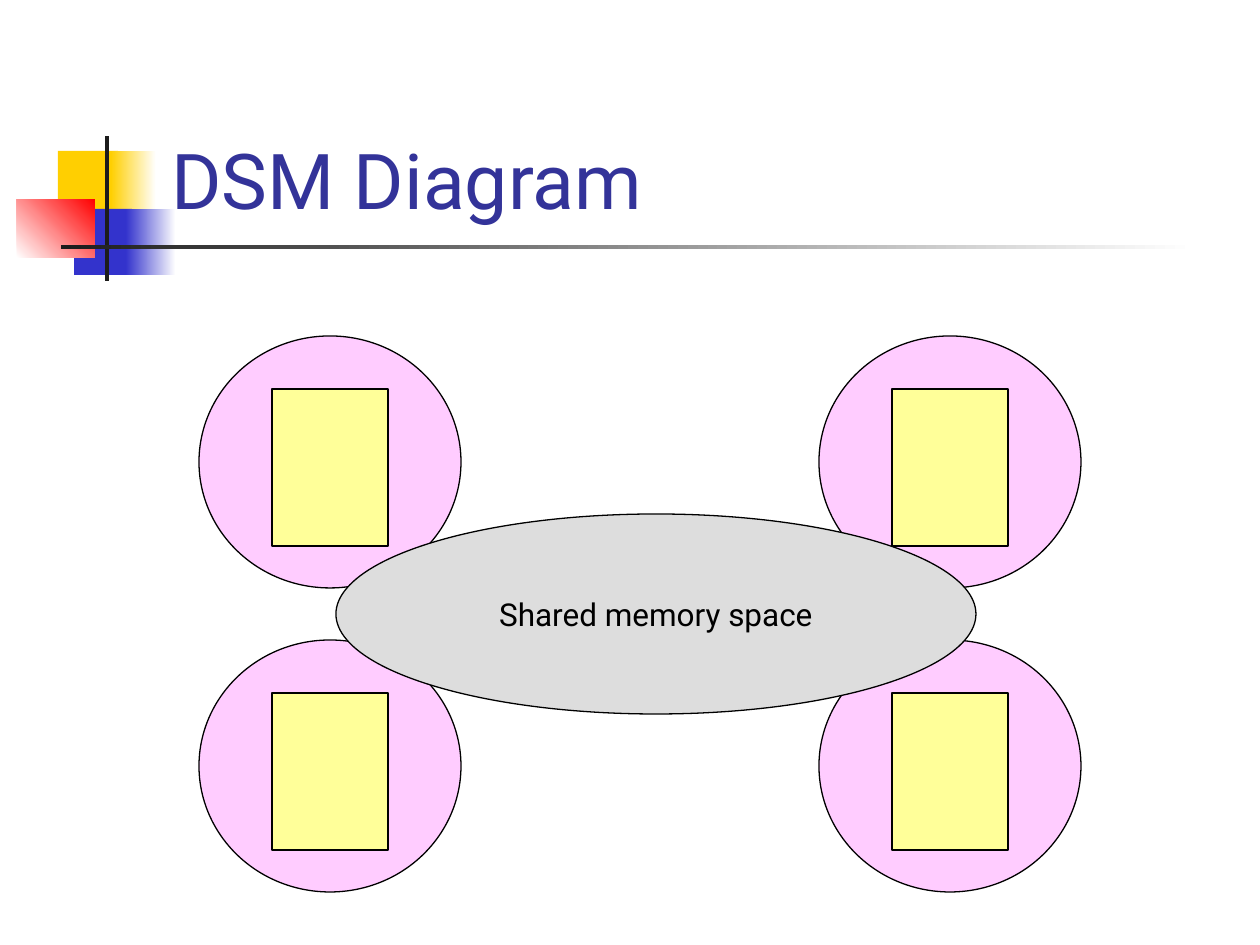
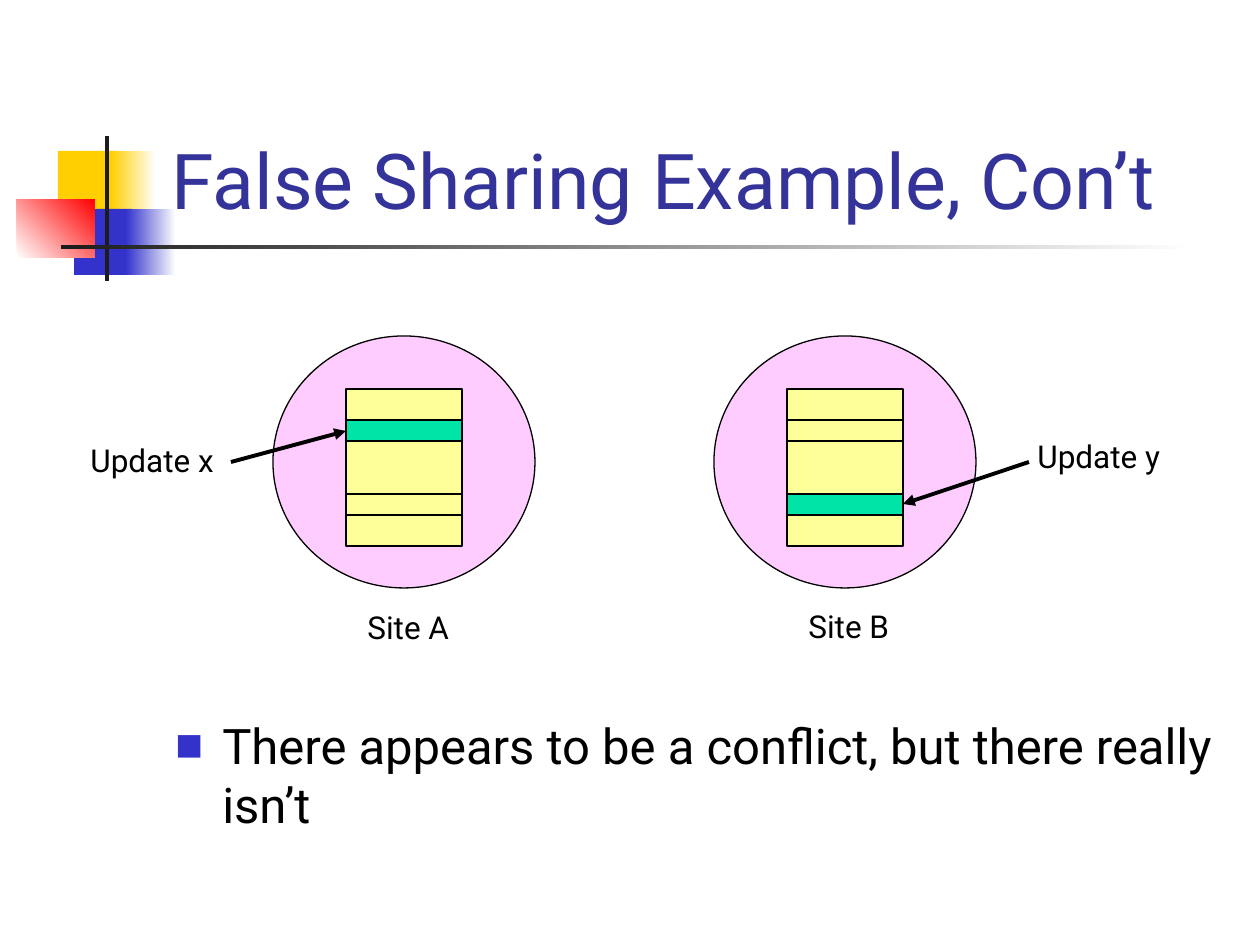
from lxml import etree
from pptx import Presentation
from pptx.dml.color import RGBColor
from pptx.enum.shapes import MSO_CONNECTOR, MSO_SHAPE
from pptx.enum.text import MSO_ANCHOR as Anchor, PP_ALIGN as Align
from pptx.oxml.ns import qn
from pptx.util import Pt

PX = 914400 / 126
FONT = "Roboto"
RECT, OVAL = MSO_SHAPE.RECTANGLE, MSO_SHAPE.OVAL

WHITE = RGBColor(0xFF, 0xFF, 0xFF)
BLACK = RGBColor(0x00, 0x00, 0x00)
CHARCOAL = RGBColor(0x1C, 0x1C, 0x1C)
GOLD = RGBColor(0xFF, 0xCF, 0x01)
BLUE = RGBColor(0x33, 0x33, 0xCC)
RED = RGBColor(0xFF, 0x00, 0x00)
TITLE_BLUE = RGBColor(0x33, 0x33, 0x99)
SITE_PINK = RGBColor(0xFF, 0xCC, 0xFF)
PAGE_YELLOW = RGBColor(0xFF, 0xFF, 0x99)
UPDATE_GREEN = RGBColor(0x00, 0xE4, 0xA8)
MEMORY_GREY = RGBColor(0xDD, 0xDD, 0xDD)

# Left, top, width, height, colours from start to end, gradient angle
DECORATION = [
    (58, 151, 60, 66, [GOLD], 0),
    (111, 151, 45, 66, [GOLD, WHITE], 0),
    (74, 209, 58, 66, [BLUE], 0),
    (126, 209, 50, 66, [BLUE, WHITE], 0),
    (17, 199, 78, 59, [WHITE, RED], 45),
    (105, 136, 4, 145, [CHARCOAL], 0),
    (61, 245, 1134, 4, [CHARCOAL, WHITE], 0),
]
SITE_W, SITE_H = 262, 252
PAGE_DX, PAGE_DY, PAGE_W, PAGE_H = 73, 53, 116, 157
TOP_ROW = 336


def add_part(slide, kind, box, colors, angle=0, outlined=True):
    """Add a shape with no fill, a solid fill or a two-colour gradient."""
    part = slide.shapes.add_shape(kind, *[round(v * PX) for v in box])
    part.shadow.inherit = False
    if len(colors) == 2:
        part.fill.gradient()
        part.fill.gradient_angle = angle
        for stop, color in zip(part.fill.gradient_stops, colors):
            stop.color.rgb = color
        part.fill.gradient_stops[0].position = 0
        part.fill.gradient_stops[1].position = 1
    elif colors:
        part.fill.solid()
        part.fill.fore_color.rgb = colors[0]
    else:
        part.fill.background()
    if outlined:
        part.line.color.rgb = BLACK
        part.line.width = Pt(0.75)
    else:
        part.line.fill.background()
    return part


def write(holder, text, size=18, color=BLACK, wrap=False, anchor=Anchor.TOP, align=Align.LEFT):
    frame = holder.text_frame
    frame.word_wrap = wrap
    frame.vertical_anchor = anchor
    paragraph = frame.paragraphs[0]
    paragraph.alignment = align
    run = paragraph.add_run()
    run.text = text
    run.font.name = FONT
    run.font.size = Pt(size)
    run.font.color.rgb = color
    return paragraph


deck = Presentation()
deck.slide_width, deck.slide_height = round(1260 * PX), round(945 * PX)

slides = []
for title in ["DSM Diagram", "False Sharing Example, Con’t"]:
    slide = deck.slides.add_slide(deck.slide_layouts[6])
    for *box, colors, angle in DECORATION:
        add_part(slide, RECT, box, colors, angle, outlined=False)
    title_box = slide.shapes.add_textbox(*[round(v * PX) for v in (159, 29, 1074, 202)])
    write(title_box, title, 44, TITLE_BLUE, wrap=True, anchor=Anchor.BOTTOM)
    slides.append(slide)
diagram, example = slides

# Sites, each holding one memory page
sites = [(diagram, x, y) for x in (199, 819) for y in (TOP_ROW, 640)]
sites += [(example, x, TOP_ROW) for x in (273, 714)]
for slide, x, y in sites:
    add_part(slide, OVAL, (x, y, SITE_W, SITE_H), [SITE_PINK])
    add_part(slide, RECT, (x + PAGE_DX, y + PAGE_DY, PAGE_W, PAGE_H), [PAGE_YELLOW])

shared_memory = add_part(diagram, OVAL, (336, 514, 640, 200), [MEMORY_GREY])
write(shared_memory, "Shared memory space", anchor=Anchor.MIDDLE, align=Align.CENTER)

# Variables x and y inside each page; each site updates one of them
for site_x, updated in [(273, "x"), (714, "y")]:
    for variable, y in [("x", 420), ("y", 494)]:
        colors = [UPDATE_GREEN] if variable == updated else []
        add_part(example, RECT, (site_x + PAGE_DX, y, PAGE_W, 21), colors)

for text, box in [
    ("Site A", (355, 602, 108, 50)),
    ("Site B", (796, 601, 108, 50)),
    ("Update x", (78, 435, 158, 50)),
    ("Update y", (1025, 431, 158, 50)),
]:
    label = example.shapes.add_textbox(*[round(v * PX) for v in box])
    write(label, text)

for ends in [(231, 462, 346, 431), (1029, 462, 903, 504)]:
    arrow = example.shapes.add_connector(MSO_CONNECTOR.STRAIGHT, *[round(v * PX) for v in ends])
    arrow.line.color.rgb = BLACK
    arrow.line.width = Pt(2.25)
    etree.SubElement(arrow.line._get_or_add_ln(), qn("a:tailEnd"), type="triangle")
    etree.SubElement(arrow._element.spPr, qn("a:effectLst"))

conclusion = example.shapes.add_textbox(*[round(v * PX) for v in (163, 709, 1071, 136)])
point = write(conclusion, "There appears to be a conflict, but there really isn’t", 28, wrap=True)
bullet = point._p.get_or_add_pPr()
indent = round(47 * PX)
bullet.set("marL", str(indent))
bullet.set("indent", str(-indent))
bullet_color = etree.SubElement(bullet, qn("a:buClr"))
etree.SubElement(bullet_color, qn("a:srgbClr"), val=str(BLUE))
etree.SubElement(bullet, qn("a:buSzPct"), val="60000")
etree.SubElement(bullet, qn("a:buFont"), typeface=FONT)
etree.SubElement(bullet, qn("a:buChar"), char="■")

deck.save("out.pptx")
